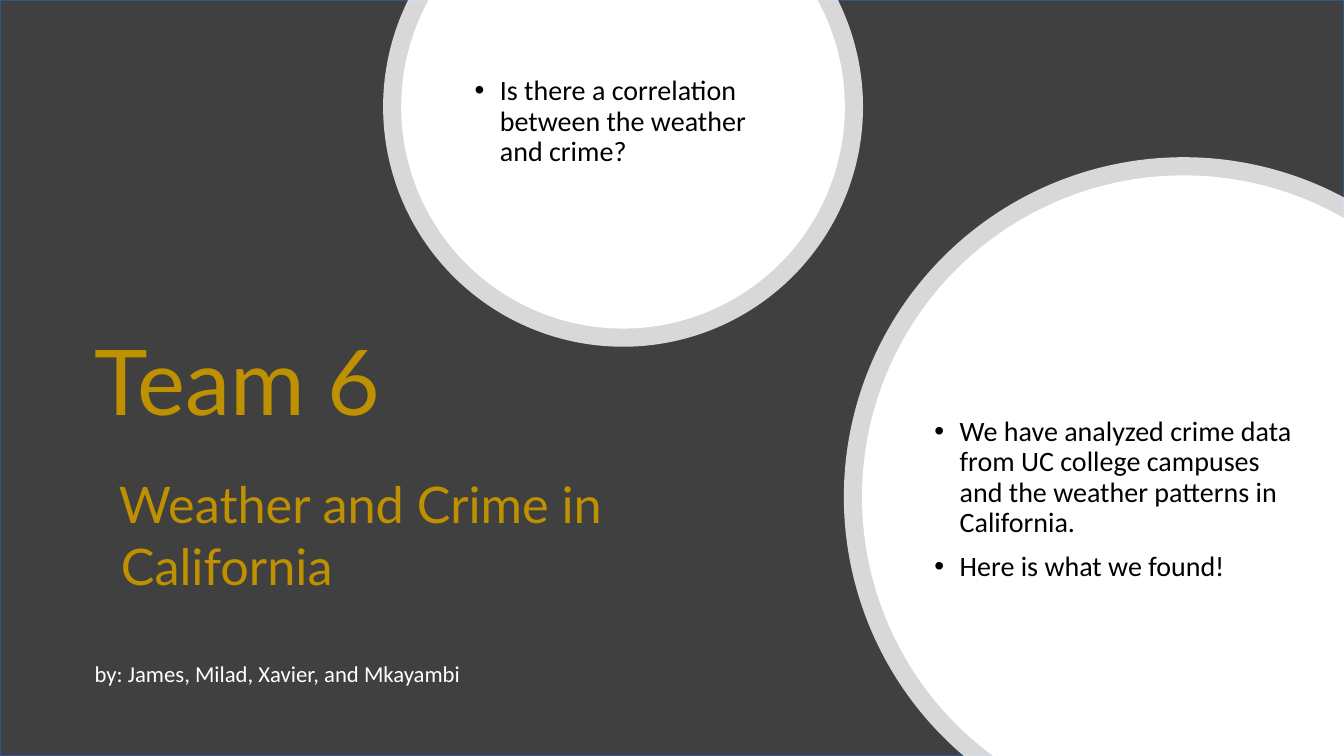
import math
import pptx
import pptx.dml.color
import pptx.enum.shapes
import pptx.enum.text
import pptx.oxml
import pptx.util

WIDE, HIGH = 13.33, 7.5
DARK, GOLD, WHITE, BLACK, BLUE = "404040", "BF9000", "FFFFFF", "000000", "325491"
RIM = 0.18

# text, size, font, colour, line height in points, left indent
TITLE = [
    ("Team 6", 64.8, "Lato", GOLD, 58, 0),
    ("Weather and Crime in", 36, "Lato", GOLD, 71.5, 0.24),
    ("California", 36, "Lato", GOLD, 44.5, 0.26),
    ("by: James, Milad, Xavier, and Mkayambi", 16.2, "Calibri", WHITE, 65, 0),
]
TITLE_BOX = (0.84, 3.83, 6.62, 2.65)

# centre x, centre y, outer radius, text box, bottom inset, bullets
DISCS = [
    (6.18, 1.06, 2.38, (4.61, 0.39, 3.15, 1.96), 0.37,
     ["Is there a correlation between the weather and crime?"]),
    (11.74, 4.93, 3.37, (9.17, 3.44, 3.8, 3.04), 0.05,
     ["We have analyzed crime data from UC college campuses "
      "and the weather patterns in California.",
      "Here is what we found!"]),
]

NS = 'xmlns:a="http://schemas.openxmlformats.org/drawingml/2006/main"'
SHADE = (f'<a:effectLst {NS}><a:outerShdw blurRad="38100" dist="38100" dir="2700000" '
         'algn="tl"><a:srgbClr val="000000"><a:alpha val="43000"/></a:srgbClr>'
         '</a:outerShdw></a:effectLst>')

inch = pptx.util.Inches


def tint(hue):
    return pptx.dml.color.RGBColor.from_string(hue)


def paint(shape, hue, alpha=None):
    shape.shadow.inherit = False
    shape.fill.solid()
    shape.fill.fore_color.rgb = tint(hue)
    shape.line.fill.background()
    if alpha:
        node = pptx.oxml.parse_xml(f'<a:alpha {NS} val="{alpha * 1000}"/>')
        shape._element.xpath("./p:spPr/a:solidFill/a:srgbClr")[0].append(node)


def span(mid_x, mid_y, radius):
    """Give the visible arc's two angles, clockwise, and the corners it leaves."""
    if mid_y < radius:
        cut = math.degrees(math.asin(mid_y / radius))
        return -cut, 180 + cut, []
    low = math.degrees(math.asin((HIGH - mid_y) / radius))
    side = math.degrees(math.acos((WIDE - mid_x) / radius))
    return 180 - low, 360 - side, [(inch(WIDE), inch(HIGH))]


def add_disc(slide, mid_x, mid_y, radius, alpha=None):
    """Draw a white circle cut off at the slide's edges."""
    start, end, corners = span(mid_x, mid_y, radius)
    turns = [start, *(q for q in range(0, 360, 90) if start < q < end), end]
    points = [(inch(mid_x + radius * math.cos(math.radians(turn))),
               inch(mid_y + radius * math.sin(math.radians(turn))))
              for turn in turns]
    form = slide.shapes.build_freeform(*points[0])
    form.add_line_segments(points[1:] + corners, close=True)
    shape = form.convert_to_shape()

    # One true arc takes the place of the straight steps along the rim.
    steps = shape._element.xpath(".//a:lnTo")[:len(turns) - 1]
    size = inch(radius)
    steps[0].addprevious(pptx.oxml.parse_xml(
        f'<a:arcTo {NS} wR="{size}" hR="{size}" stAng="{round(start * 60000)}" '
        f'swAng="{round((end - start) * 60000)}"/>'))
    for step in steps:
        step.getparent().remove(step)
    paint(shape, WHITE, alpha)


def add_box(slide, place, base=0.05):
    frame = slide.shapes.add_textbox(*map(inch, place)).text_frame
    frame.word_wrap = True
    frame.vertical_anchor = pptx.enum.text.MSO_ANCHOR.MIDDLE
    frame.margin_bottom = inch(base)
    return frame


def write(para, text, size=20, font="Calibri", hue=BLACK, lead=0.9,
          left=0, before=0, bullet=False):
    run = para.add_run()
    run.text = text
    run.font.size = pptx.util.Pt(size)
    run.font.color.rgb = tint(hue)
    para.line_spacing = lead
    para.space_before = pptx.util.Pt(before)
    props = para._p.get_or_add_pPr()
    props.set("marL", str(inch(left)))
    if bullet:
        props.set("indent", str(-inch(left)))
        for tag in ('buFont %s typeface="Arial"', 'buChar %s char="•"'):
            props.append(pptx.oxml.parse_xml(f"<a:{tag % NS}/>"))
        run._r.get_or_add_rPr().append(pptx.oxml.parse_xml(SHADE))
    run.font.name = font


def main():
    deck = pptx.Presentation()
    deck.slide_width, deck.slide_height = inch(WIDE), inch(HIGH)
    slide = deck.slides.add_slide(deck.slide_layouts[6])

    back = slide.shapes.add_shape(pptx.enum.shapes.MSO_SHAPE.RECTANGLE, 0, 0,
                                  deck.slide_width, deck.slide_height)
    paint(back, DARK)
    back.line.color.rgb = tint(BLUE)
    back.line.width = pptx.util.Pt(1)

    frame = add_box(slide, TITLE_BOX)
    for row, (text, size, font, hue, lead, left) in enumerate(TITLE):
        para = frame.add_paragraph() if row else frame.paragraphs[0]
        write(para, text, size=size, font=font, hue=hue,
              lead=pptx.util.Pt(lead), left=left)

    for mid_x, mid_y, radius, place, base, lines in DISCS:
        add_disc(slide, mid_x, mid_y, radius, alpha=80)
        add_disc(slide, mid_x, mid_y, radius - RIM)
        frame = add_box(slide, place, base)
        for row, text in enumerate(lines):
            para = frame.add_paragraph() if row else frame.paragraphs[0]
            write(para, text, left=0.25, before=10, bullet=True)

    deck.save("out.pptx")


if __name__ == "__main__":
    main()
